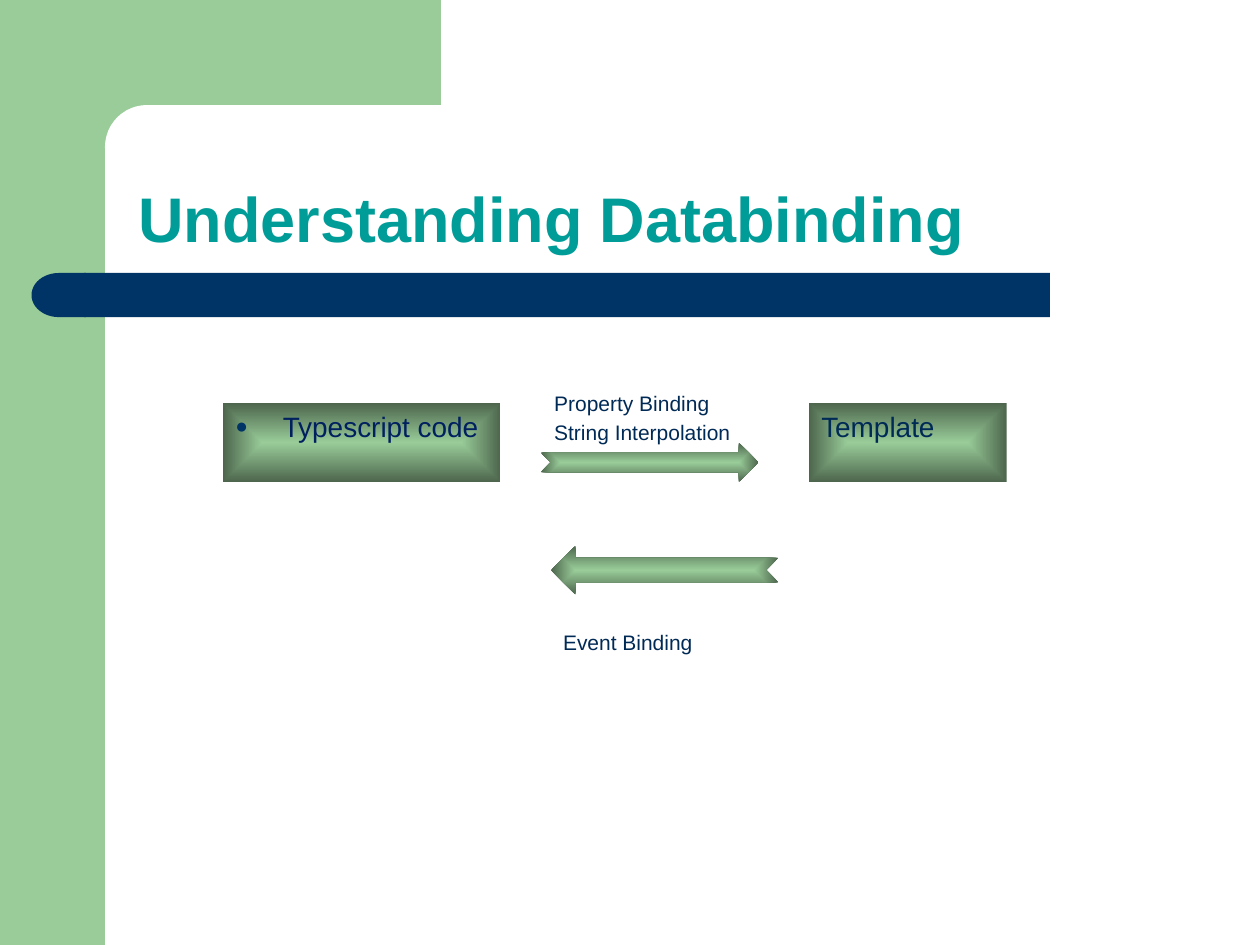
from lxml import etree
from pptx import Presentation
from pptx.dml.color import RGBColor
from pptx.enum.shapes import MSO_SHAPE
from pptx.enum.text import MSO_ANCHOR, PP_ALIGN
from pptx.oxml.ns import qn
from pptx.util import Pt

RECTANGLE = MSO_SHAPE.RECTANGLE
ROUNDED = MSO_SHAPE.ROUNDED_RECTANGLE
DELAY = MSO_SHAPE.FLOWCHART_DELAY
ARROW = MSO_SHAPE.NOTCHED_RIGHT_ARROW
TOP, BOTTOM = MSO_ANCHOR.TOP, MSO_ANCHOR.BOTTOM
LEFT = PP_ALIGN.LEFT

FONT = "Arial"
COLORS = {
    "green": "99CC99",
    "dark green": "4D664D",
    "white": "FFFFFF",
    "navy": "003366",
    "teal": "009C98",
    "code text": "002060",
    "text": "002A56",
}

BACKDROP = [
    (RECTANGLE, (0, 0, 60, 540), "green"),
    (RECTANGLE, (54, 0, 198, 84), "green"),
    (ROUNDED, (60, 60, 402, 48), "white"),
    (RECTANGLE, (48, 156, 552, 25.2), "navy"),
]
BAR_CAP = (18, 156, 31, 25.2)
TITLE = ("Understanding Databinding", (72, 60, 630, 150 - 60 + 0))
BOXES = [
    ("Typescript code", (127.5, 230.4, 158.5, 45), "code text", True),
    ("Template", (462.25, 230.4, 113, 45), "text", False),
]
ARROWS = [
    ((309, 253, 124.5, 22.5), 0),
    ((314.8, 311.75, 130, 28), 180),
]
LABELS = [
    (["Event Binding"], (314.64, 356.4, 147.6, 21.6)),
    (["Property Binding", "String Interpolation"], (309.6, 219.6, 147.6, 39.6)),
]


def color(name):
    return RGBColor.from_string(COLORS[name])


def add_plain(slide, kind, box, fill):
    shape = slide.shapes.add_shape(kind, *map(Pt, box))
    shape.shadow.inherit = False
    shape.line.fill.background()
    shape.fill.solid()
    shape.fill.fore_color.rgb = color(fill)
    return shape


def add_glowing(slide, kind, box):
    shape = add_plain(slide, kind, box, "green")
    shape.fill.gradient()
    stops = shape.fill.gradient_stops
    for stop, position, name in zip(stops, (0, 1), ("green", "dark green")):
        stop.position = position
        stop.color.rgb = color(name)
    gradient = shape._element.spPr.find(qn("a:gradFill"))
    gradient.remove(gradient.find(qn("a:lin")))
    center = etree.SubElement(gradient, qn("a:path"), path="rect")
    sides = dict.fromkeys("ltrb", "50000")
    etree.SubElement(center, qn("a:fillToRect"), **sides)
    return shape


def write(shape, lines, size, name, bold=False, anchor=TOP, before=0.2):
    frame = shape.text_frame
    frame.text = "\n".join(lines)
    frame.word_wrap = True
    frame.vertical_anchor = anchor
    for paragraph in frame.paragraphs:
        paragraph.alignment = LEFT
        paragraph.space_before = Pt(size * before)
        for run in paragraph.runs:
            run.font.name = FONT
            run.font.size = Pt(size)
            run.font.bold = bold
            run.font.color.rgb = color(name)
    return frame


def add_bullet(paragraph):
    properties = paragraph._p.get_or_add_pPr()
    properties.set("marL", str(Pt(27)))
    properties.set("indent", str(Pt(-27)))
    bullet_color = etree.SubElement(properties, qn("a:buClr"))
    etree.SubElement(bullet_color, qn("a:srgbClr"), val=COLORS["navy"])
    etree.SubElement(properties, qn("a:buSzPct"), val="75000")
    etree.SubElement(properties, qn("a:buFont"), typeface=FONT)
    etree.SubElement(properties, qn("a:buChar"), char="●")


def main():
    presentation = Presentation()
    presentation.slide_width, presentation.slide_height = Pt(720), Pt(540)
    slide = presentation.slides.add_slide(presentation.slide_layouts[6])

    for kind, box, fill in BACKDROP:
        shape = add_plain(slide, kind, box, fill)
        if kind == ROUNDED:
            shape.adjustments[0] = 0.5
    cap = add_plain(slide, DELAY, BAR_CAP, "navy")
    cap.rotation = 180

    text, box = TITLE
    title = slide.shapes.add_textbox(*map(Pt, box))
    frame = write(title, [text], 36, "teal", True, BOTTOM, 0)
    frame.paragraphs[0].line_spacing = 0.9

    for text, box, name, bulleted in BOXES:
        shape = add_glowing(slide, RECTANGLE, box)
        frame = write(shape, [text], 16, name)
        if bulleted:
            add_bullet(frame.paragraphs[0])

    for box, rotation in ARROWS:
        add_glowing(slide, ARROW, box).rotation = rotation

    for lines, box in LABELS:
        write(slide.shapes.add_textbox(*map(Pt, box)), lines, 12, "text")

    presentation.save("out.pptx")


if __name__ == "__main__":
    main()
